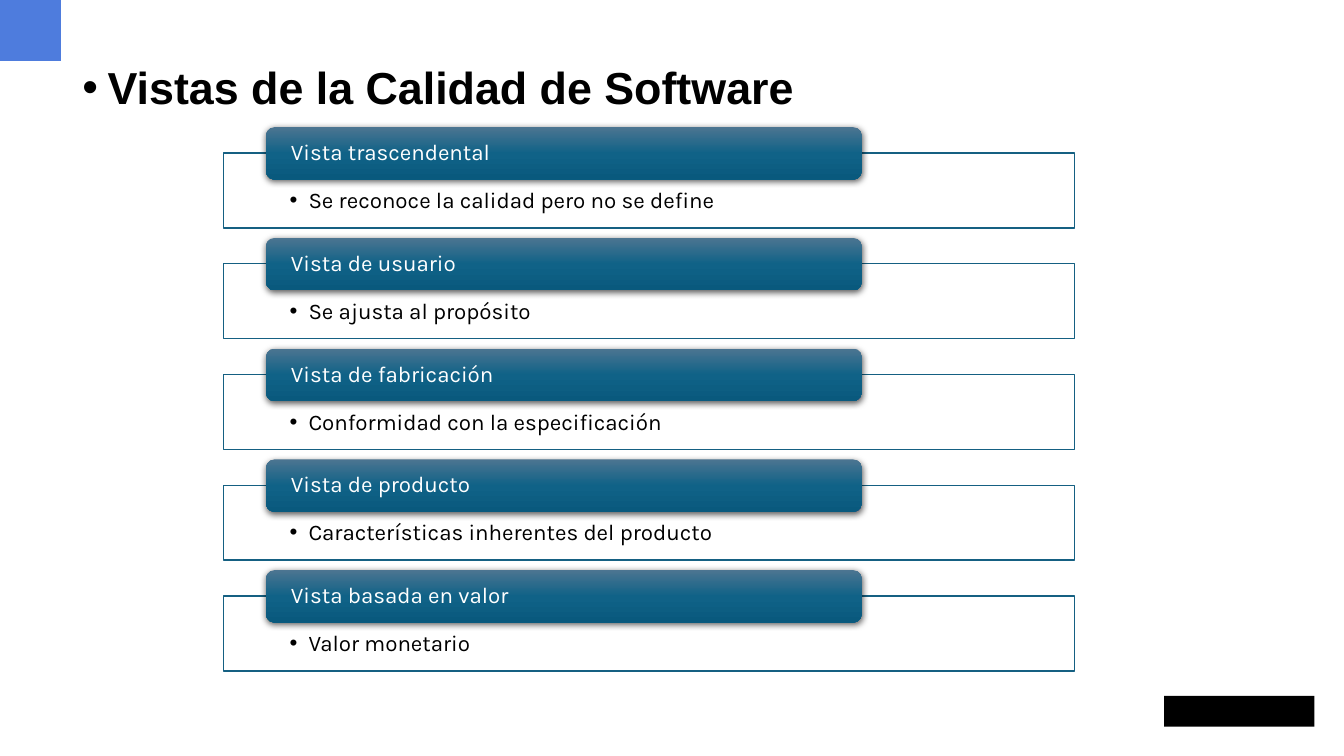
from dataclasses import dataclass

import pptx
import pptx.dml.color
import pptx.enum.shapes
import pptx.enum.text
import pptx.oxml
import pptx.oxml.ns
import pptx.util

Pt = pptx.util.Pt
Kind = pptx.enum.shapes.MSO_SHAPE
Anchor = pptx.enum.text.MSO_ANCHOR
Align = pptx.enum.text.PP_ALIGN


@dataclass(frozen=True)
class Theme:
    accent: str = "4E7CDD"
    black: str = "000000"
    white: str = "FFFFFF"
    border: str = "156082"
    stops: tuple = ((0, "4C7591"), (50, "106287"), (100, "09597D"))
    head: str = "Arial"
    body: str = "Karla"
    large: int = 32
    small: int = 16


THEME = Theme()
VIEWS = [
    ("Vista trascendental", "Se reconoce la calidad pero no se define"),
    ("Vista de usuario", "Se ajusta al propósito"),
    ("Vista de fabricación", "Conformidad con la especificación"),
    ("Vista de producto", "Características inherentes del producto"),
    ("Vista basada en valor", "Valor monetario"),
]
TOP, PITCH = 109.3, 79.1


def color(code):
    return pptx.dml.color.RGBColor.from_string(code)


def element(body):
    """Parse one DrawingML element given without its prefix."""
    return pptx.oxml.parse_xml(body.replace(
        " ", f" {pptx.oxml.ns.nsdecls('a')} ", 1))


def add_box(slide, kind, box, fill=None, line=None):
    shape = slide.shapes.add_shape(kind, *map(Pt, box))
    shape.shadow.inherit = False
    if fill:
        shape.fill.solid()
        shape.fill.fore_color.rgb = color(fill)
    if line:
        shape.line.color.rgb = color(line)
        shape.line.width = Pt(1)
    else:
        shape.line.fill.background()
    return shape


def add_bullet(para, indent):
    props = para._p.get_or_add_pPr()
    props.set("marL", str(Pt(indent)))
    props.set("indent", str(-Pt(indent)))
    props.append(element('<a:buFont typeface="Arial"/>'))
    props.append(element('<a:buChar char="•"/>'))


def set_text(shape, text, insets, anchor, size, face, ink,
             bold=False, indent=0):
    """Write one left-aligned paragraph; an indent gives it a bullet."""
    frame = shape.text_frame
    frame.word_wrap = True
    frame.vertical_anchor = anchor
    (frame.margin_left, frame.margin_top,
     frame.margin_right, frame.margin_bottom) = map(Pt, insets)
    para = frame.paragraphs[0]
    para.text = text
    para.alignment = Align.LEFT
    para.line_spacing = 0.9
    if indent:
        add_bullet(para, indent)
    font = para.font
    font.size, font.name, font.bold = Pt(size), face, bold
    font.color.rgb = color(ink)


def add_shade(shape):
    """Give a shape the vertical gradient and a soft shadow below it."""
    props = shape._element.spPr
    stops = "".join(
        f'<a:gs pos="{spot * 1000}"><a:srgbClr val="{code}"/></a:gs>'
        for spot, code in THEME.stops)
    grad = element(
        f'<a:gradFill rotWithShape="1"><a:gsLst>{stops}</a:gsLst>'
        '<a:lin ang="5400000" scaled="0"/></a:gradFill>')
    props.find(pptx.oxml.ns.qn("a:prstGeom")).addnext(grad)
    glow = props.find(pptx.oxml.ns.qn("a:effectLst"))
    glow.append(element(
        f'<a:outerShdw blurRad="{Pt(4.5)}" dist="{Pt(1.5)}" dir="5400000" '
        f'algn="ctr" rotWithShape="0"><a:srgbClr val="{THEME.black}">'
        '<a:alpha val="63000"/></a:srgbClr></a:outerShdw>'))


def add_title(slide, text):
    box = slide.shapes.add_textbox(Pt(51.8), Pt(43.2), Pt(610), Pt(36.7))
    set_text(box, text, (7.2, 3.6, 7.2, 3.6), Anchor.TOP, THEME.large,
             THEME.head, THEME.black, bold=True, indent=18)


def add_view(slide, top, name, detail):
    frame = add_box(slide, Kind.RECTANGLE, (159.7, top, 607.7, 53.5),
                    THEME.white, THEME.border)
    set_text(frame, detail, (47.2, 26, 47.2, 8.5), Anchor.TOP, THEME.small,
             THEME.body, THEME.black, indent=13.5)
    label = add_box(slide, Kind.ROUNDED_RECTANGLE,
                    (190, top - 18.5, 425.5, 37.5))
    add_shade(label)
    set_text(label, name, (16, 0, 16, 0), Anchor.MIDDLE, THEME.small,
             THEME.body, THEME.white)


def main():
    deck = pptx.Presentation()
    deck.slide_width, deck.slide_height = Pt(960), Pt(540)
    slide = deck.slides.add_slide(deck.slide_layouts[6])
    add_box(slide, Kind.RECTANGLE, (0, 0, 43.5, 43.5), THEME.accent)
    add_box(slide, Kind.RECTANGLE, (831.5, 497, 107.5, 22), THEME.black)
    add_title(slide, "Vistas de la Calidad de Software")
    for row, (name, detail) in enumerate(VIEWS):
        add_view(slide, TOP + row * PITCH, name, detail)
    deck.save("out.pptx")


if __name__ == "__main__":
    main()
